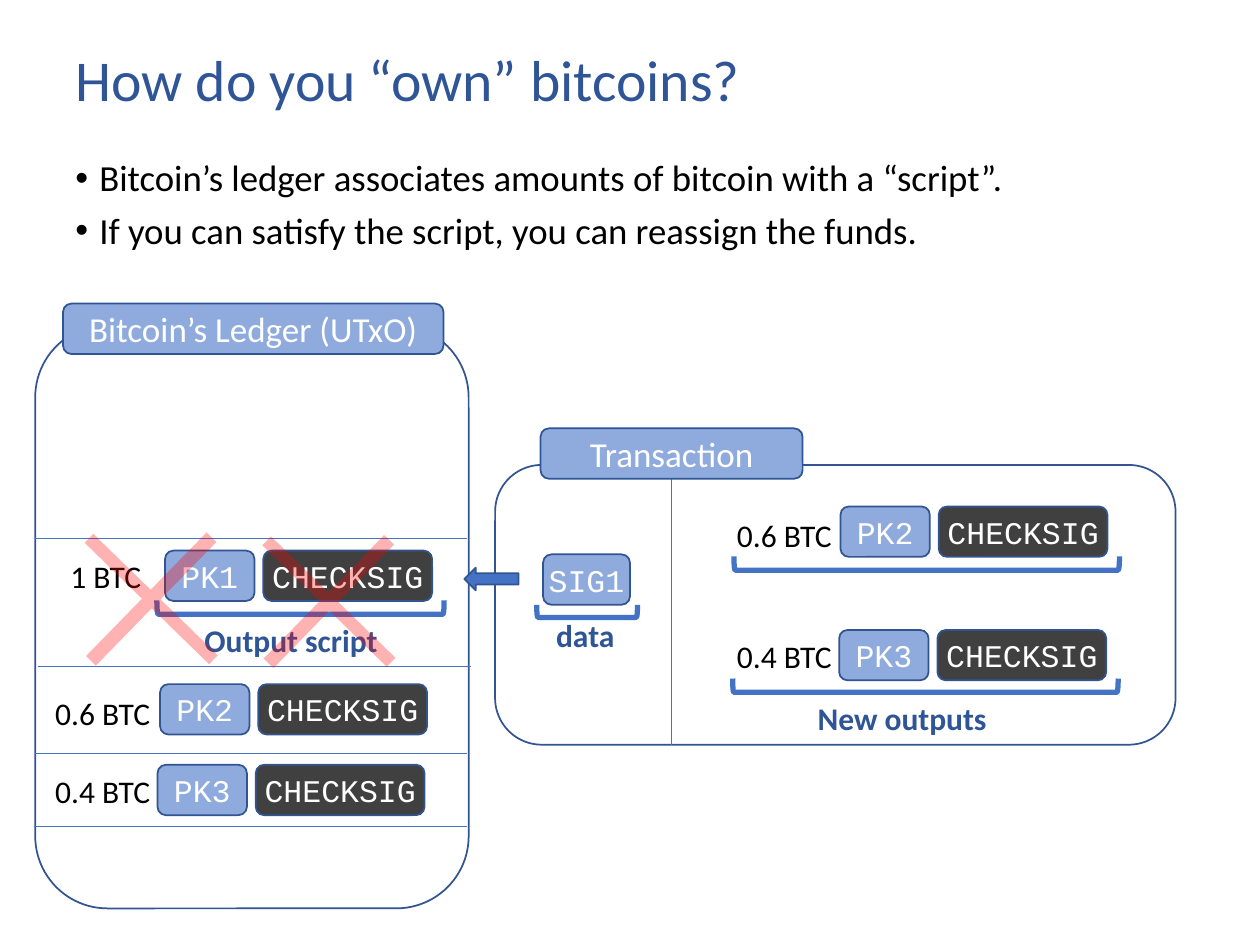
from lxml import etree
from pptx import Presentation
from pptx.dml.color import RGBColor
from pptx.enum.shapes import MSO_CONNECTOR, MSO_SHAPE as Shape
from pptx.enum.text import MSO_ANCHOR as Anchor, PP_ALIGN as Align
from pptx.oxml.ns import qn
from pptx.util import Pt

PX = 9144  # EMU per px, 100 px to the inch

WHITE = RGBColor(0xFF, 0xFF, 0xFF)
BLACK = RGBColor(0x00, 0x00, 0x00)
NAVY = RGBColor(0x2F, 0x55, 0x97)
OUTLINE = RGBColor(0x32, 0x54, 0x91)
BLUE = RGBColor(0x44, 0x72, 0xC4)
LIGHT_BLUE = RGBColor(0x8F, 0xAA, 0xDC)
CHARCOAL = RGBColor(0x40, 0x40, 0x40)
RED = RGBColor(0xFF, 0x00, 0x00)
SANS, MONO = "Calibri", "Courier New"

presentation = Presentation()
presentation.slide_width, presentation.slide_height = 1000 * PX, 750 * PX
slide = presentation.slides.add_slide(presentation.slide_layouts[6])


def add_shape(kind, left, top, width, height, fill=None, line=OUTLINE, weight=1):
    """Add a preset shape, or a text box when kind is None; lengths are px."""
    box = [length * PX for length in (left, top, width, height)]
    if kind is None:
        return slide.shapes.add_textbox(*box)
    shape = slide.shapes.add_shape(kind, *box)
    shape.shadow.inherit = False
    if fill is None:
        shape.fill.background()
    else:
        shape.fill.solid()
        shape.fill.fore_color.rgb = fill
    if line is None:
        shape.line.fill.background()
    else:
        shape.line.color.rgb = line
        shape.line.width = Pt(weight)
    return shape


def write(shape, text, size=18, font=SANS, color=WHITE, bold=False,
          align=Align.CENTER, anchor=Anchor.MIDDLE, inset=0, wrap=True):
    """Fill a shape with text; inset is the side margin in px."""
    frame = shape.text_frame
    frame.text = text
    frame.word_wrap = wrap
    frame.vertical_anchor = anchor
    frame.margin_left = frame.margin_right = inset * PX
    frame.margin_top = frame.margin_bottom = inset * PX // 2
    for paragraph in frame.paragraphs:
        paragraph.alignment = align
        for run in paragraph.runs:
            run.font.size = Pt(size)
            run.font.name = font
            run.font.bold = bold
            run.font.color.rgb = color
    return frame


# Title and bullets
title = write(add_shape(None, 50, 29, 903, 73), "How do you “own” bitcoins?",
              size=33, color=NAVY, align=Align.LEFT, inset=10)
title.paragraphs[0].line_spacing = 0.9
body = write(add_shape(None, 50, 122, 903, 103),
             "Bitcoin’s ledger associates amounts of bitcoin with a “script”.\n"
             "If you can satisfy the script, you can reassign the funds.",
             size=21, color=BLACK, align=Align.LEFT, anchor=Anchor.TOP, inset=10)
for paragraph in body.paragraphs:
    paragraph.line_spacing = 0.9
    paragraph.space_before = Pt(7.5)
    properties = paragraph.runs[0].font and paragraph._p.get_or_add_pPr()
    properties.set("marL", str(19 * PX))
    properties.set("indent", str(-19 * PX))
    etree.SubElement(properties, qn("a:buFont"), typeface="Arial")
    etree.SubElement(properties, qn("a:buChar"), char="•")

# Panels: transaction and ledger
for panel in ((393, 369, 540, 222), (28, 258, 344, 463)):
    add_shape(Shape.ROUNDED_RECTANGLE, *panel, fill=WHITE)

# Thin dividers
for x1, y1, x2, y2 in ((28, 427, 371, 427), (30, 529, 374, 529),
                       (28, 598, 371, 598), (27, 656, 371, 656),
                       (533, 370, 533, 591)):
    divider = slide.shapes.add_connector(
        MSO_CONNECTOR.STRAIGHT, x1 * PX, y1 * PX, x2 * PX, y2 * PX)
    divider.line.color.rgb = BLUE
    divider.line.width = Pt(0.5)
    etree.SubElement(divider._element.spPr, qn("a:effectLst"))

# Panel headings
for left, top, width, heading in ((50, 241, 302, "Bitcoin’s Ledger (UTxO)"),
                                  (429, 340, 208, "Transaction")):
    tab = add_shape(Shape.ROUNDED_RECTANGLE, left, top, width, 40, LIGHT_BLUE, NAVY)
    write(tab, heading, size=20, inset=10)

# Outputs: amount, then a script made of a key and CHECKSIG
for amount, amount_left, amount_top, key, key_left, key_top in (
        ("1 BTC", 46, 437, "PK1", 131, 437),
        ("0.6 BTC", 34, 546, "PK2", 127, 543),
        ("0.4 BTC", 34, 608, "PK3", 125, 607),
        ("0.6 BTC", 575, 405, "PK2", 667, 402),
        ("0.4 BTC", 575, 501, "PK3", 666, 500)):
    write(add_shape(None, amount_left, amount_top, 100, 40), amount, color=BLACK,
          align=Align.LEFT, anchor=Anchor.TOP, inset=10, wrap=False)
    for left, width, fill, text in ((key_left, 71, LIGHT_BLUE, key),
                                    (key_left + 78, 134, CHARCOAL, "CHECKSIG")):
        chip = add_shape(Shape.ROUNDED_RECTANGLE, left, key_top, width, 40, fill)
        write(chip, text, font=MONO)

signature = add_shape(Shape.ROUNDED_RECTANGLE, 431, 440, 69, 40, LIGHT_BLUE)
write(signature, "SIG1", font=MONO)

# Brackets below the scripts and the signature, turned to open upwards
for left, top, width, height in ((461, 445, 10, 80), (233, 368, 11, 228),
                                 (729, 391, 11, 306), (730, 294, 11, 306)):
    bracket = add_shape(Shape.LEFT_BRACKET, left, top, width, height,
                        line=BLUE, weight=3)
    bracket.rotation = 270

for left, top, width, caption in ((420, 489, 89, "data"),
                                  (138, 493, 186, "Output script"),
                                  (602, 555, 228, "New outputs")):
    write(add_shape(None, left, top, width, 30), caption, color=NAVY,
          bold=True, anchor=Anchor.TOP)

spend_arrow = add_shape(Shape.DOWN_ARROW, 381, 438, 18, 43, BLUE)
spend_arrow.rotation = 90

# Translucent crosses over the spent output
for left, top in ((51, 407), (192, 409)):
    cross = add_shape(Shape.CROSS, left, top, 138, 137, RED, line=None)
    cross.adjustments[0] = 0.464
    cross.rotation = 44.3
    color = cross._element.spPr.find(qn("a:solidFill")).find(qn("a:srgbClr"))
    etree.SubElement(color, qn("a:alpha"), val="30000")

presentation.save("out.pptx")
